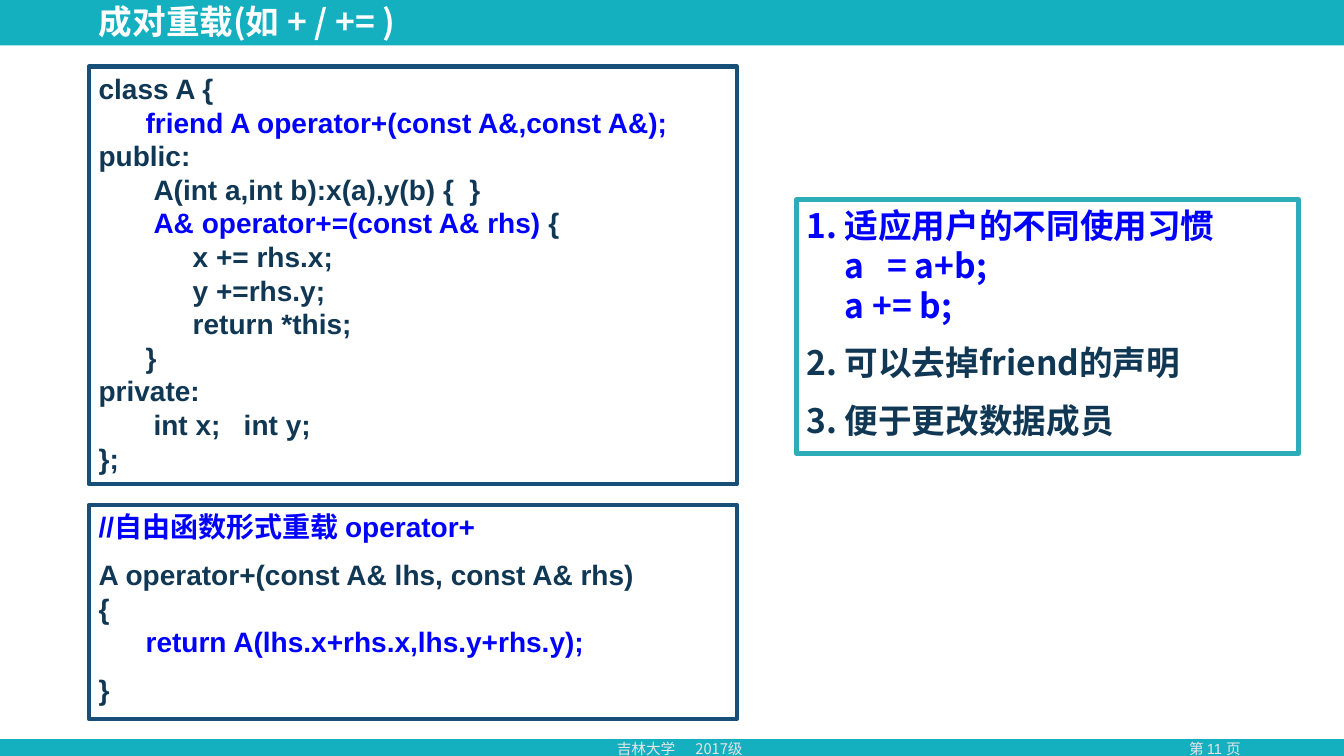
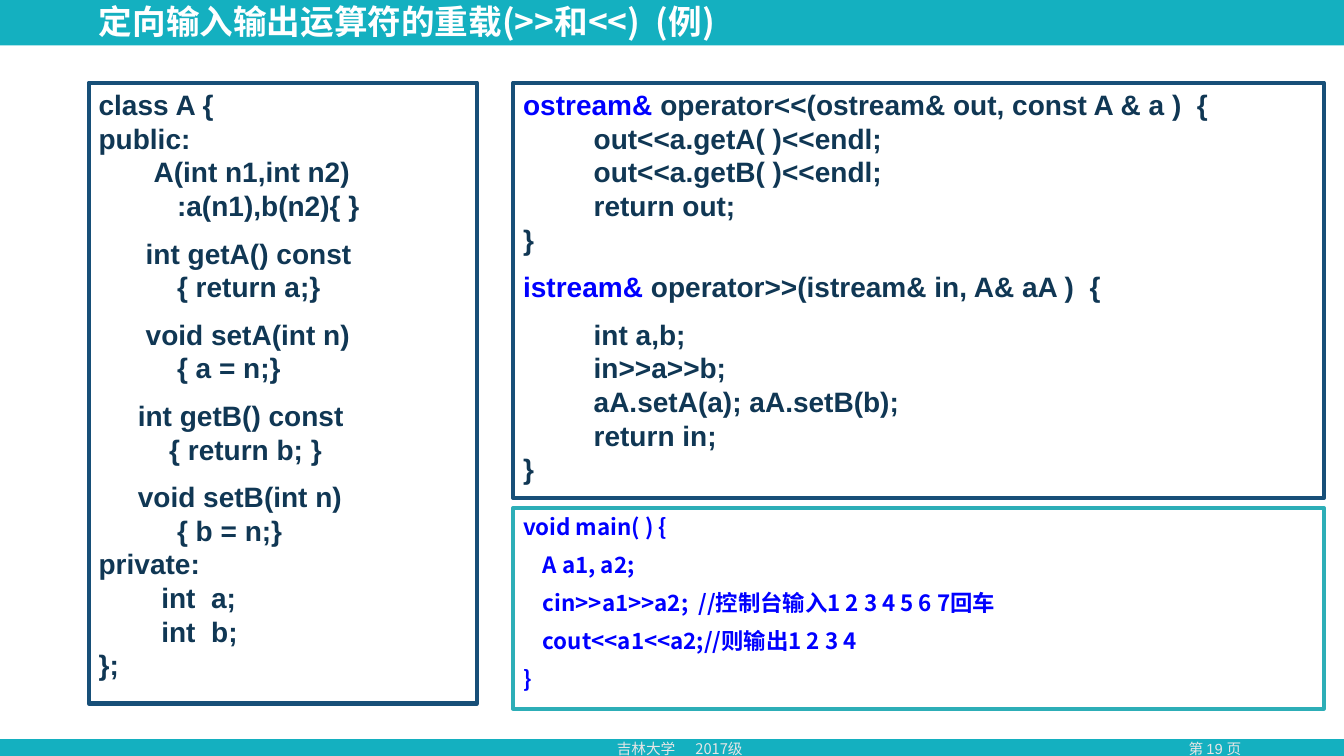
from dataclasses import dataclass

from lxml.etree import SubElement
from pptx import Presentation
from pptx.dml.color import RGBColor as Rgb
from pptx.enum.shapes import MSO_SHAPE as Preset
from pptx.enum.text import MSO_ANCHOR as Anchor, PP_ALIGN as Align
from pptx.oxml.ns import qn
from pptx.util import Inches, Pt

# Each panel holds blocks of lines; a block opens with extra space above it.
# Backticks enclose highlighted code, leading spaces set a line's indent.
SLIDES = [
    {
        "title": "成对重载(如 + / += )",
        "page": "第 11 页",
        "panels": [
            {"at": (0.88, 0.66, 6.43, 4.14), "style": "code", "blocks": ["""\
class A {
      `friend A operator+(const A&,const A&);`
public:
       A(int a,int b):x(a),y(b) {  }
       `A& operator+=(const A& rhs)` {
            x += rhs.x;
            y +=rhs.y;
            return *this;
      }
private:
       int x;   int y;
};"""]},
            {"at": (0.88, 5.01, 6.43, 2.12), "style": "code", "blocks": [
                "`//自由函数形式重载 operator+`",
                """\
A operator+(const A& lhs, const A& rhs)
{
      `return A(lhs.x+rhs.x,lhs.y+rhs.y);`""",
                "}"]},
            {"at": (7.9, 1.98, 4.98, 2.52), "style": "points", "blocks": [
                "`适应用户的不同使用习惯\va   = a+b;\va += b;`",
                "可以去掉friend的声明",
                "便于更改数据成员"]},
        ],
    },
    {
        "title": "定向输入输出运算符的重载(>>和<<)  (例)",
        "page": "第 19 页",
        "panels": [
            {"at": (0.88, 0.82, 3.85, 6.16), "style": "code", "blocks": [
                """\
class A {
public:
       A(int n1,int n2)
          :a(n1),b(n2){ }""",
                """\
      int getA() const
          { return a;}""",
                """\
      void setA(int n)
          { a = n;}""",
                """\
     int getB() const
         { return b; }""",
                """\
     void setB(int n)
          { b = n;}
private:
        int  a;
        int  b;
};"""]},
            {"at": (5.09, 0.82, 8.04, 4.12), "style": "code", "blocks": [
                """\
`ostream&` operator<<(ostream& out, const A & a )  {
         out<<a.getA( )<<endl;
         out<<a.getB( )<<endl;
         return out;
}""",
                "`istream&` operator>>(istream& in, A& aA )  {",
                """\
         int a,b;
         in>>a>>b;
         aA.setA(a); aA.setB(b);
         return in;
}"""]},
            {"at": (5.09, 5.04, 8.04, 1.99), "style": "demo", "blocks": [
                "`void main( ) {`",
                "    `A a1, a2;`",
                "    `cin>>a1>>a2;  //控制台输入1 2 3 4 5 6 7回车`",
                "    `cout<<a1<<a2;//则输出1 2 3 4`",
                "`}`"]},
        ],
    },
]
FOOTER = "吉林大学\t2017级"


@dataclass(frozen=True)
class Theme:
    """Colours, fonts and type sizes shared by the slides."""
    teal: str = "14B0C0"
    white: str = "FFFFFF"
    pale: str = "E7E6E6"
    ink: str = "103754"
    accent: str = "0000FF"
    navy_line: str = "174F78"
    teal_line: str = "2DAEB7"
    latin: str = "Arial"
    cjk: str = "Noto Sans CJK SC"
    title_size: float = 24
    footer_size: float = 10.5
    line_width: float = 3
    leading: float = 1.2


THEME = Theme()
# space: width of one leading space in ems
STYLES = {
    "code": {"size": 20, "font": THEME.latin, "line": THEME.navy_line, "space": 0.28},
    "points": {"size": 24, "font": THEME.cjk, "line": THEME.teal_line,
               "space": 0.22, "hang": 0.38},
    "demo": {"size": 16, "font": THEME.cjk, "line": THEME.teal_line, "space": 0.22,
             "fill": THEME.white},
}
BANDS = [((0, 0, 13.33, 7.5), THEME.teal), ((0, 0.45, 13.33, 6.88), THEME.white)]
TITLE_AT = (0.88, 0.04, 7.68, 0.39)
PAGE_AT = (11.32, 7.29, 1.46, 0.28)
FOOTER_AT = (6.02, 7.29, 1.84, 0.28)
FOOTER_TAB = 0.78


def inches(box):
    """Turn a box in inches into lengths."""
    return [Inches(value) for value in box]


def assign(target, values):
    """Set attributes from a dict."""
    for key, value in values.items():
        setattr(target, key, value)


def add_run(paragraph, text, font, size, color, bold=True):
    """Add one formatted run with Latin and East Asian fonts."""
    run = paragraph.add_run()
    run.text = text
    assign(run.font, {"name": font, "size": Pt(size), "bold": bold})
    run.font.color.rgb = Rgb.from_string(color)
    SubElement(run.font._element, qn("a:ea"), typeface=THEME.cjk)


def add_box(slide, box, fill=None, line=None):
    """Add a rectangle without shadow."""
    shape = slide.shapes.add_shape(Preset.RECTANGLE, *inches(box))
    shape.shadow.inherit = False
    if fill:
        shape.fill.solid()
        shape.fill.fore_color.rgb = Rgb.from_string(fill)
    else:
        shape.fill.background()
    if line:
        shape.line.color.rgb = Rgb.from_string(line)
        shape.line.width = Pt(THEME.line_width)
    else:
        shape.line.fill.background()
    return shape


def add_line(paragraph, line, style, opens_block):
    """Write one line with its indent, spacing and highlights."""
    code = line.lstrip(" ")
    size = style["size"]
    indent = Pt((len(line) - len(code)) * style["space"] * size)
    assign(paragraph, {
        "alignment": Align.LEFT,
        "line_spacing": Pt(size * THEME.leading),
        "space_before": Pt(size / 2 if opens_block else 0),
    })
    props = paragraph._p.get_or_add_pPr()
    if "hang" in style:
        indent = Inches(style["hang"])
        props.set("indent", str(-indent))
        SubElement(props, qn("a:buAutoNum"), type="arabicPeriod")
    props.set("marL", str(int(indent)))
    for part, text in enumerate(code.split("`")):
        color = THEME.accent if part % 2 else THEME.ink
        for row, piece in enumerate(text.split("\v")):
            if row:
                paragraph.add_line_break()
            if piece:
                add_run(paragraph, piece, style["font"], size, color)


def add_panel(slide, panel):
    """Add a framed panel with its blocks of lines."""
    style = STYLES[panel["style"]]
    frame = add_box(slide, panel["at"], style.get("fill"), style["line"]).text_frame
    assign(frame, {"word_wrap": True, "vertical_anchor": Anchor.TOP})
    lines = [(line, block > 0 and row == 0)
             for block, text in enumerate(panel["blocks"])
             for row, line in enumerate(text.split("\n"))]
    for number, (line, opens_block) in enumerate(lines):
        paragraph = frame.add_paragraph() if number else frame.paragraphs[0]
        add_line(paragraph, line, style, opens_block)


def add_footer(slide, box, text, font, align):
    """Add one footer text and return its paragraph."""
    frame = slide.shapes.add_textbox(*inches(box)).text_frame
    assign(frame, {"word_wrap": True, "vertical_anchor": Anchor.MIDDLE})
    paragraph = frame.paragraphs[0]
    paragraph.alignment = align
    add_run(paragraph, text, font, THEME.footer_size, THEME.pale, bold=False)
    return paragraph


def add_base(slide, title, page):
    """Add the bands, footers and title that all slides share."""
    for box, color in BANDS:
        add_box(slide, box, fill=color)
    add_footer(slide, PAGE_AT, page, THEME.latin, Align.CENTER)
    school = add_footer(slide, FOOTER_AT, FOOTER, THEME.cjk, Align.LEFT)
    stops = SubElement(school._p.get_or_add_pPr(), qn("a:tabLst"))
    SubElement(stops, qn("a:tab"), pos=str(Inches(FOOTER_TAB)), algn="l")

    heading = slide.shapes.title
    slide.shapes._spTree.append(heading._element)
    assign(heading, dict(zip(("left", "top", "width", "height"), inches(TITLE_AT))))
    frame = heading.text_frame
    assign(frame, {"word_wrap": True, "vertical_anchor": Anchor.MIDDLE,
                   "margin_top": 0, "margin_bottom": 0})
    paragraph = frame.paragraphs[0]
    assign(paragraph, {"alignment": Align.LEFT, "line_spacing": 0.9})
    add_run(paragraph, title, THEME.cjk, THEME.title_size, THEME.white)


def build():
    """Build and save the presentation."""
    deck = Presentation()
    assign(deck, {"slide_width": Inches(13.33), "slide_height": Inches(7.5)})
    title_only = deck.slide_layouts[5]
    for content in SLIDES:
        slide = deck.slides.add_slide(title_only)
        add_base(slide, content["title"], content["page"])
        for panel in content["panels"]:
            add_panel(slide, panel)
    deck.save("out.pptx")


build()
